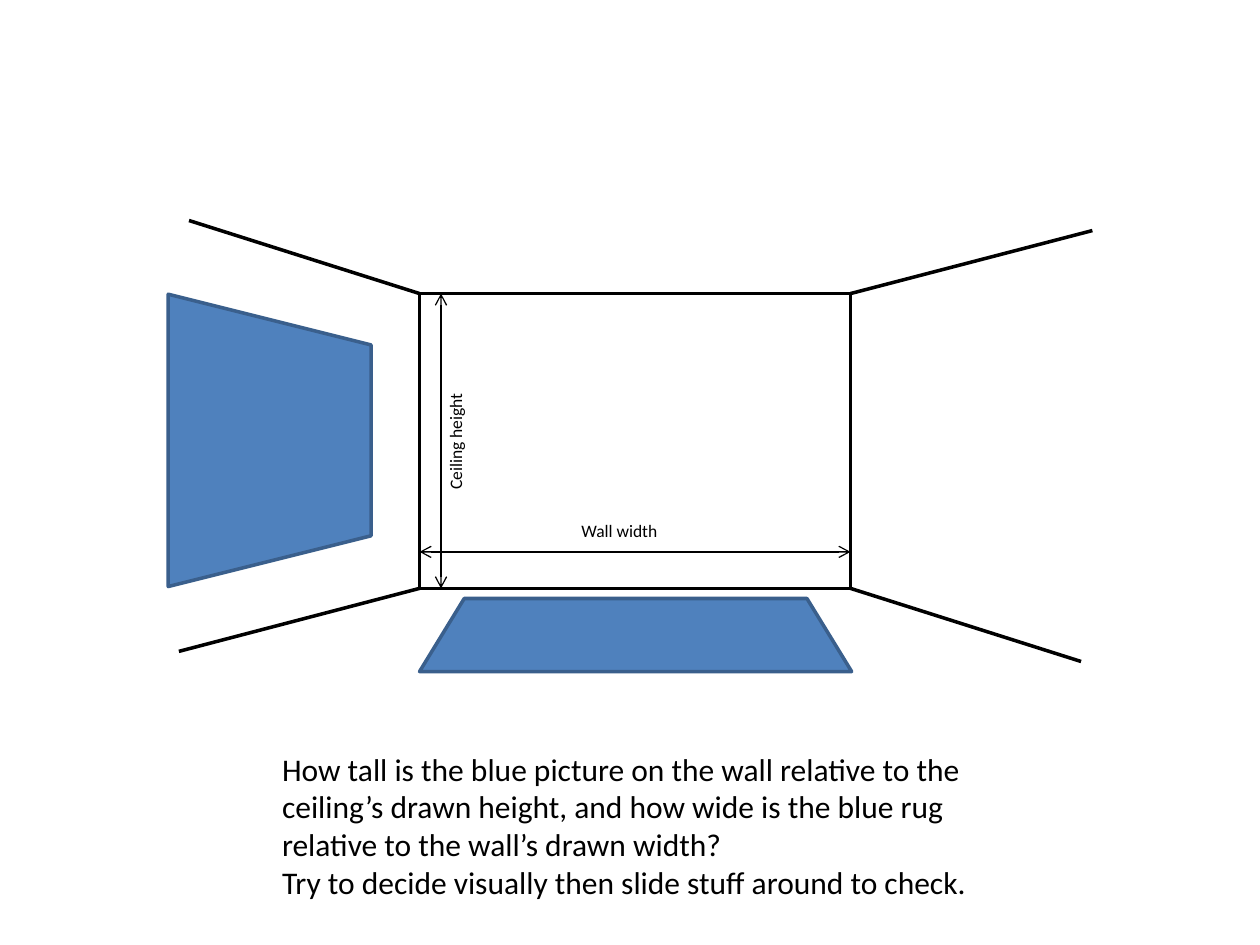
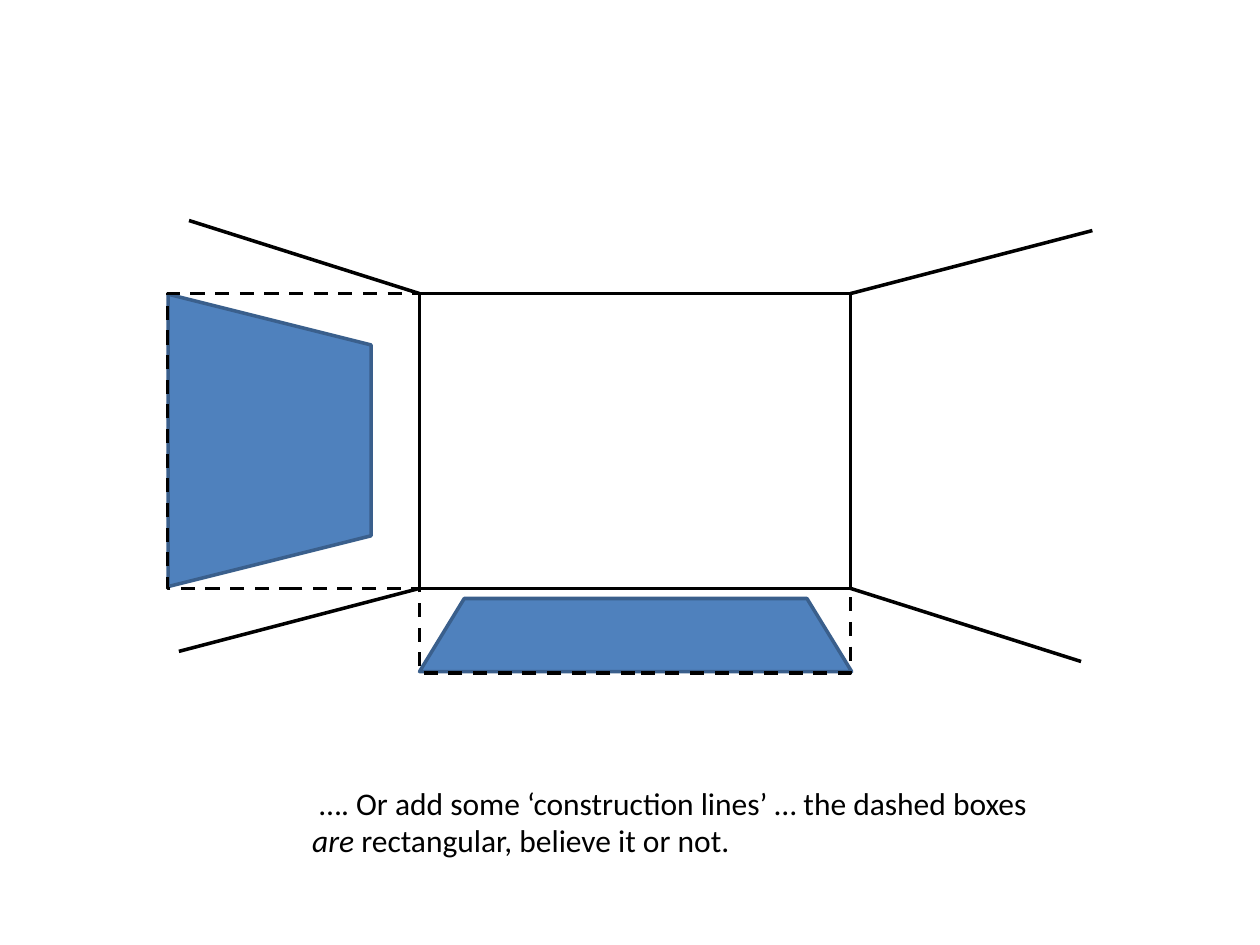
"""Build two slides on judging drawn sizes in a room in perspective."""
from lxml import etree
from pptx import Presentation
from pptx.dml.color import RGBColor
from pptx.enum import dml, shapes, text
from pptx.oxml import ns
from pptx.util import Inches, Pt

BLACK, BLUE, DARK_BLUE = "000000", "4F81BD", "3A5F8C"
LEFT, TOP, RIGHT, BOTTOM = 3.33, 2.33, 6.75, 4.67
TRAPEZOID, RECTANGLE = shapes.MSO_SHAPE.TRAPEZOID, shapes.MSO_SHAPE.RECTANGLE


def color(value):
    return RGBColor.from_string(value)


def add_line(canvas, start, end, width, arrows=False):
    x1, y1, x2, y2 = (Inches(value) for value in (*start, *end))
    edge = canvas.add_connector(shapes.MSO_CONNECTOR.STRAIGHT, x1, y1, x2, y2)
    edge.line.color.rgb = color(BLACK)
    edge.line.width = Pt(width)
    if arrows:
        outline = edge.line._get_or_add_ln()
        for tip in ("a:headEnd", "a:tailEnd"):
            etree.SubElement(outline, ns.qn(tip), type="arrow")
    etree.SubElement(edge._element.spPr, ns.qn("a:effectLst"))


deck = Presentation()
deck.slide_width, deck.slide_height = Inches(10), Inches(7.5)
blank = deck.slide_layouts[6]
question, construction = (deck.slides.add_slide(blank) for _ in range(2))
room = question.shapes.add_group_shape().shapes

wall = (RECTANGLE, (LEFT, TOP, RIGHT - LEFT, BOTTOM - TOP), 0, None, None, BLACK, False)
picture = (TRAPEZOID, (0.98, 2.69, 2.32, 1.61), 90, 0.25, BLUE, DARK_BLUE, False)
rug = (TRAPEZOID, (LEFT, 4.75, 3.43, 0.58), 0, 0.612, BLUE, DARK_BLUE, False)
picture_box = (RECTANGLE, (1.33, TOP, 2, BOTTOM - TOP), 0, None, None, BLACK, True)
rug_box = (RECTANGLE, (LEFT, BOTTOM, RIGHT - LEFT, 0.67), 0, None, None, BLACK, True)

for canvas, figures in (
    (room, [wall]),
    (question.shapes, [picture, rug]),
    (construction.shapes, [wall, picture, rug, picture_box, rug_box]),
):
    for preset, frame, turn, slant, fill, outline, dashed in figures:
        figure = canvas.add_shape(preset, *map(Inches, frame))
        figure.shadow.inherit = False
        figure.rotation = turn
        if slant:
            figure.adjustments[0] = slant
        if fill:
            figure.fill.solid()
            figure.fill.fore_color.rgb = color(fill)
        else:
            figure.fill.background()
        figure.line.color.rgb = color(outline)
        figure.line.width = Pt(2)
        if dashed:
            figure.line.dash_style = dml.MSO_LINE.DASH

for canvas in (room, construction.shapes):
    for corner, far_end in (
        ((LEFT, TOP), (1.5, 1.75)),
        ((LEFT, BOTTOM), (1.42, 5.17)),
        ((RIGHT, TOP), (8.67, 1.83)),
        ((RIGHT, BOTTOM), (8.58, 5.25)),
    ):
        add_line(canvas, far_end, corner, 2)

add_line(room, (3.5, TOP), (3.5, BOTTOM), 0.75, arrows=True)
add_line(room, (LEFT, 4.38), (RIGHT, 4.38), 0.75, arrows=True)

question_lines = [
    [("How tall is the blue picture on the wall relative to the ceiling’s drawn height, "
      "and how wide is the blue rug relative to the wall’s drawn width?", False)],
    [("Try to decide visually then slide stuff around to check.", False)],
]
construction_lines = [
    [(" …. Or add some ‘construction lines’ … the dashed boxes ", False)],
    [("are", True), (" rectangular, believe it or not.", False)],
]
LEFT_ALIGN, CENTER = text.PP_ALIGN.LEFT, text.PP_ALIGN.CENTER

for canvas, frame, turn, size, align, wrap, lines in (
    (room, (2.74, 3.37, 1.75, 0.27), 270, 10, CENTER, True, [[("Ceiling height", False)]]),
    (room, (4.04, 4.08, 1.75, 0.27), 0, 10, CENTER, True, [[("Wall width", False)]]),
    (question.shapes, (2.14, 5.9, 6.11, 1.31), 0, 18, LEFT_ALIGN, True, question_lines),
    (construction.shapes, (2.38, 6.17, 6, 0.71), 0, 18, LEFT_ALIGN, False, construction_lines),
):
    caption = canvas.add_textbox(*map(Inches, frame))
    caption.rotation = turn
    caption.text_frame.word_wrap = wrap
    caption.text_frame.auto_size = text.MSO_AUTO_SIZE.SHAPE_TO_FIT_TEXT
    paragraph = caption.text_frame.paragraphs[0]
    paragraph.alignment = align
    for index, line in enumerate(lines):
        if index:
            paragraph.add_line_break()
        for words, italic in line:
            run = paragraph.add_run()
            run.text = words
            run.font.name = "Calibri"
            run.font.size = Pt(size)
            run.font.italic = italic
            run.font.color.rgb = color(BLACK)

deck.save("out.pptx")
